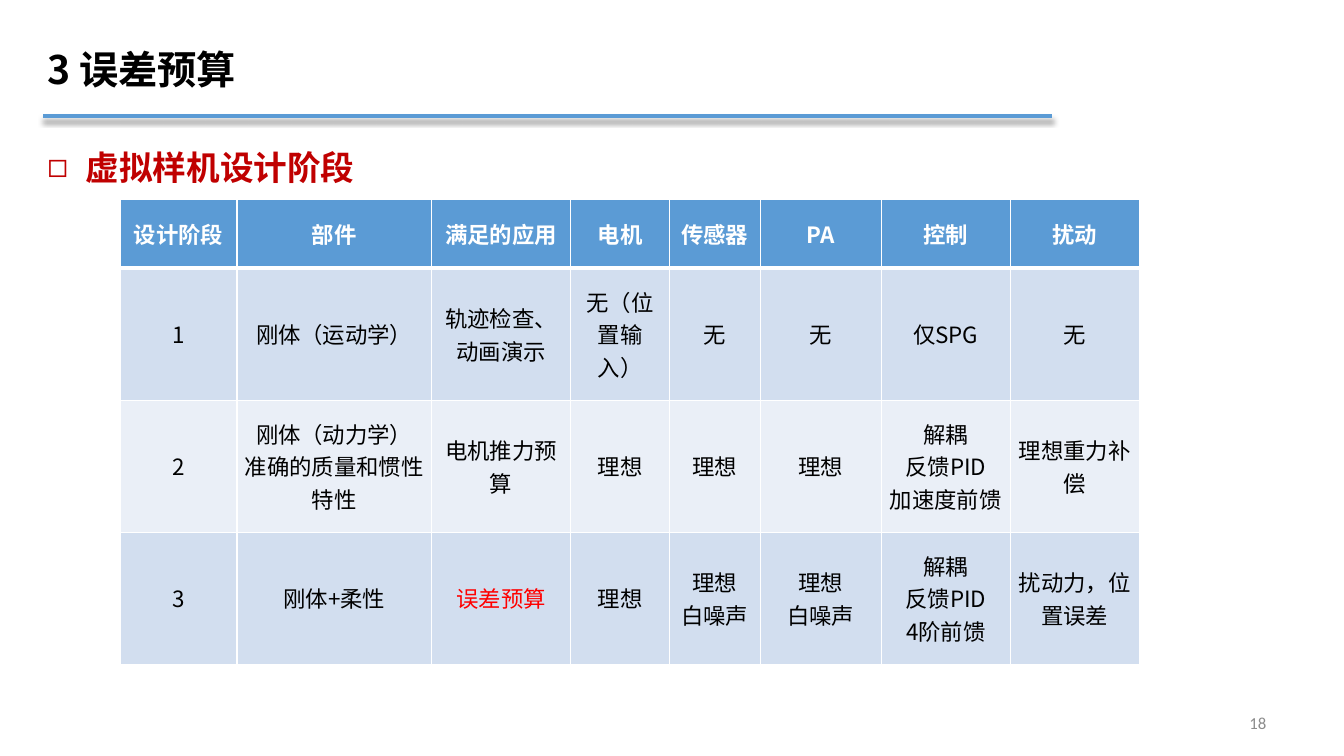
"""Build the slide on design stages of the virtual prototype."""
import pptx
import pptx.util
import pptx.dml.color
import pptx.enum.shapes
import pptx.enum.text
import pptx.oxml
import pptx.oxml.ns
from lxml import etree

Inches, Pt = pptx.util.Inches, pptx.util.Pt
RGBColor = pptx.dml.color.RGBColor
PP_ALIGN = pptx.enum.text.PP_ALIGN
MIDDLE = pptx.enum.text.MSO_ANCHOR.MIDDLE
qn = pptx.oxml.ns.qn

BLUE = RGBColor(0x5B, 0x9B, 0xD5)
BAND_DARK = RGBColor(0xD2, 0xDE, 0xEF)
BAND_LIGHT = RGBColor(0xEA, 0xEF, 0xF7)
WHITE = RGBColor(0xFF, 0xFF, 0xFF)
BLACK = RGBColor(0, 0, 0)
DARK_RED = RGBColor(0xC0, 0, 0)
RED = RGBColor(0xFF, 0, 0)
GRAY = RGBColor(0x8C, 0x8C, 0x8C)
CJK = "Noto Sans CJK SC"
NS = pptx.oxml.ns.nsdecls("a")


def style(tf, size, color, bold=False, align=PP_ALIGN.LEFT, font=CJK):
    for p in tf.paragraphs:
        p.alignment = align
        for r in p.runs:
            r.font.size, r.font.bold, r.font.name = Pt(size), bold, font
            r.font.color.rgb = color
            etree.SubElement(r.font._element, qn("a:ea"), typeface=font)


def set_borders(cell, top, bottom):
    tc_pr = cell._tc.get_or_add_tcPr()
    for i, (side, width) in enumerate(zip("LRTB", (1, 1, top, bottom))):
        tc_pr.insert(i, pptx.oxml.parse_xml(
            f'<a:ln{side} {NS} w="{Pt(width)}"><a:solidFill>'
            f'<a:srgbClr val="{WHITE}"/></a:solidFill></a:ln{side}>'))


prs = pptx.Presentation()
prs.slide_width, prs.slide_height = Inches(13.33), Inches(7.5)
s = prs.slides.add_slide(prs.slide_layouts[1])

title = s.shapes.title
title.left, title.top, title.width, title.height = map(Inches, (0.37, 0.25, 9.77, 0.93))
tf = title.text_frame
tf.text = "3 误差预算"
tf.vertical_anchor = MIDDLE
tf.auto_size = pptx.enum.text.MSO_AUTO_SIZE.NONE
tf.paragraphs[0].line_spacing = 0.9
style(tf, 28, BLACK, True)

rule = s.shapes.add_connector(pptx.enum.shapes.MSO_CONNECTOR.STRAIGHT,
                              Inches(0.43), Inches(1.15), Inches(10.43), Inches(1.15))
rule.line.color.rgb, rule.line.width = BLUE, Pt(3)
rule._element.spPr.append(pptx.oxml.parse_xml(
    f'<a:effectLst {NS}><a:outerShdw blurRad="{Pt(4)}" dist="{Pt(3)}" dir="5400000" '
    f'rotWithShape="0"><a:srgbClr val="{BLACK}"><a:alpha val="40000"/></a:srgbClr>'
    '</a:outerShdw></a:effectLst>'))

body = s.placeholders[1]
body.left, body.top, body.width, body.height = map(Inches, (0.37, 1.41, 8.19, 0.58))
tf = body.text_frame
tf.text = "虚拟样机设计阶段"
tf.auto_size = pptx.enum.text.MSO_AUTO_SIZE.NONE
style(tf, 24, DARK_RED, True)
p_pr = tf.paragraphs[0]._p.get_or_add_pPr()
p_pr.set("marL", str(Inches(0.38)))
p_pr.set("indent", str(-Inches(0.38)))
etree.SubElement(p_pr, qn("a:buChar"), char="◻")

ROWS = [
    ["设计阶段", "部件", "满足的应用", "电机", "传感器", "PA", "控制", "扰动"],
    ["1", "刚体（运动学）", "轨迹检查、动画演示", "无（位置输入）", "无", "无", "仅SPG", "无"],
    ["2", "刚体（动力学）\n准确的质量和惯性特性", "电机推力预算", "理想", "理想", "理想",
     "解耦\n反馈PID\n加速度前馈", "理想重力补偿"],
    ["3", "刚体+柔性", "误差预算", "理想", "理想\n白噪声", "理想\n白噪声",
     "解耦\n反馈PID\n4阶前馈", "扰动力，位置误差"],
]
COL_WIDTHS = [1.16, 1.93, 1.38, 0.98, 0.9, 1.2, 1.28, 1.28]
ROW_HEIGHTS = [0.68, 1.31, 1.31, 1.31]
FILLS = [BLUE, BAND_DARK, BAND_LIGHT, BAND_DARK]

table = s.shapes.add_table(len(ROWS), len(COL_WIDTHS), Inches(1.19), Inches(1.98),
                           Inches(10.11), Inches(4.6)).table
for col, width in zip(table.columns, COL_WIDTHS):
    col.width = Inches(width)
for i, row in enumerate(ROWS):
    table.rows[i].height = Inches(ROW_HEIGHTS[i])
    for j, text in enumerate(row):
        cell = table.cell(i, j)
        cell.text_frame.text = text
        cell.vertical_anchor = MIDDLE
        cell.margin_left = cell.margin_right = Inches(0.07)
        cell.margin_top = cell.margin_bottom = 0
        cell.fill.solid()
        cell.fill.fore_color.rgb = FILLS[i]
        color = WHITE if i == 0 else RED if text == "误差预算" else BLACK
        style(cell.text_frame, 16, color, i == 0, PP_ALIGN.CENTER)
        set_borders(cell, 3 if i == 1 else 1, 3 if i == 0 else 1)

number = s.shapes.add_textbox(Inches(9.66), Inches(6.97), Inches(3), Inches(0.4))
tf = number.text_frame
tf.text = "18"
tf.word_wrap = True
tf.vertical_anchor = MIDDLE
style(tf, 12, GRAY, align=PP_ALIGN.RIGHT, font="Calibri")

prs.save("out.pptx")
